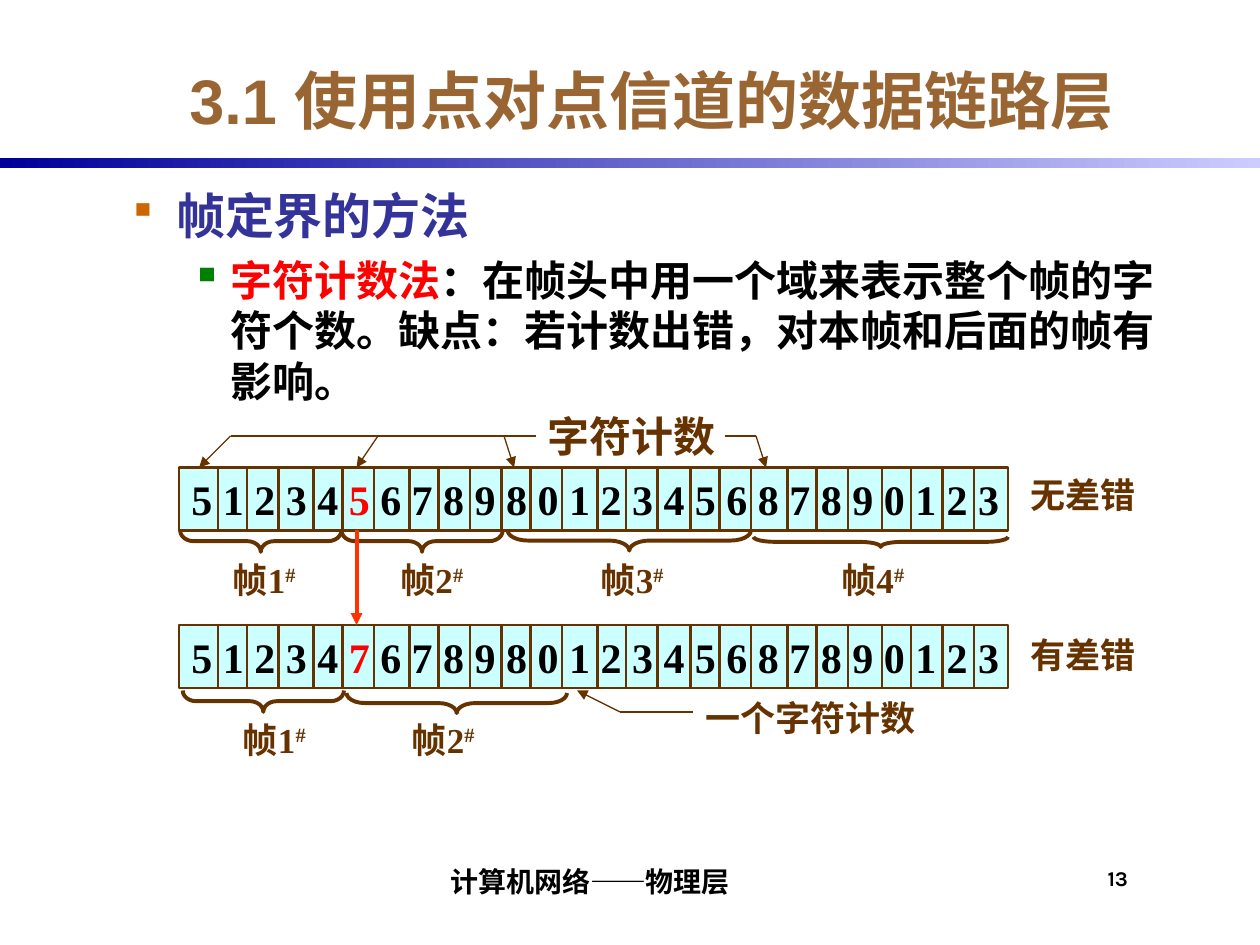
from lxml.etree import SubElement
from pptx import Presentation
from pptx.dml.color import RGBColor
from pptx.enum.shapes import MSO_CONNECTOR as Connector, MSO_SHAPE as Shape
from pptx.enum.text import MSO_ANCHOR as Anchor, PP_ALIGN as Align
from pptx.oxml.ns import qn
from pptx.util import Inches, Pt

COLORS = {
    "brown": "663300", "title": "996633", "heading": "333399", "black": "000000",
    "red": "FF0000", "arrow": "FF3300", "cell": "CCFFFF", "orange": "CC6600",
    "green": "008000", "navy": "000099", "lavender": "CCCCFF",
}
SERIF = "Times New Roman"
ROW_LEFT, ROW_WIDTH, ROW_HEIGHT = 1.42, 6.58, 0.5
TOP_ROW, BOTTOM_ROW = 3.71, 4.96
GROUP_STARTS = (1.73, 2.49, 3.25, 3.98, 4.74, 5.48, 6.25, 7, 7.73)
DIVIDERS = [start + step for start in GROUP_STARTS for step in (0, 0.23, 0.48)
            if start + step < ROW_LEFT + ROW_WIDTH - 0.1]
DIVIDERS = DIVIDERS[:25]


def rgb(name):
    return RGBColor.from_string(COLORS[name])


def add_bullet(paragraph, color, size, margin, hanging):
    properties = paragraph._p.get_or_add_pPr()
    properties.set("marL", str(Inches(margin)))
    properties.set("indent", str(-Inches(hanging)))
    bullet_color = SubElement(properties, qn("a:buClr"))
    SubElement(bullet_color, qn("a:srgbClr"), val=COLORS[color])
    SubElement(properties, qn("a:buSzPct"), val=str(size * 1000))
    SubElement(properties, qn("a:buChar"), char="▪")


def write_runs(paragraph, runs, size, color, font=SERIF):
    """Write runs given as (text, color or None, superscript or not)."""
    paragraph.font.size = Pt(size)
    for text, run_color, raised in runs:
        run = paragraph.add_run()
        run.text = text
        run.font.name, run.font.size, run.font.bold = font, Pt(size), True
        run.font.color.rgb = rgb(run_color or color)
        if raised:
            run.font._element.set("baseline", "30000")


def set_frame(shape, insets, anchor=Anchor.TOP):
    frame = shape.text_frame
    frame.word_wrap = True
    frame.vertical_anchor = anchor
    (frame.margin_left, frame.margin_top,
     frame.margin_right, frame.margin_bottom) = map(Inches, insets)
    return frame


def add_text(slide, text, left, top, width, height, *, size=20, color="brown",
             font=SERIF, align=Align.LEFT, anchor=Anchor.TOP,
             insets=(0.1, 0.05, 0.1, 0.05), superscript=""):
    box = slide.shapes.add_textbox(*map(Inches, (left, top, width, height)))
    paragraph = set_frame(box, insets, anchor).paragraphs[0]
    paragraph.alignment = align
    runs = [(text, None, False)]
    if superscript:
        runs.append((superscript, None, True))
    write_runs(paragraph, runs, size, color, font)


def add_line(slide, start, end, *, color="brown", width=0.75, arrow=False):
    line = slide.shapes.add_connector(
        Connector.STRAIGHT, *map(Inches, (*start, *end)))
    line.line.color.rgb = rgb(color)
    line.line.width = Pt(width)
    if arrow:
        SubElement(line.line._get_or_add_ln(), qn("a:tailEnd"), type="triangle")
    SubElement(line._element.spPr, qn("a:effectLst"))


def add_shape(slide, kind, left, top, width, height):
    shape = slide.shapes.add_shape(kind, *map(Inches, (left, top, width, height)))
    shape.shadow.inherit = False
    return shape


def add_brace(slide, left, top, length, depth):
    """Draw a brace that opens upwards, as a left brace turned by 270 degrees."""
    brace = add_shape(slide, Shape.LEFT_BRACE, left + (length - depth) / 2,
                      top + (depth - length) / 2, depth, length)
    brace.rotation = 270
    brace.adjustments[0] = length / 12 / depth
    brace.fill.background()
    brace.line.color.rgb = rgb("brown")
    brace.line.width = Pt(2.25)


def add_digit_row(slide, top, count):
    row = add_shape(slide, Shape.RECTANGLE, ROW_LEFT, top, ROW_WIDTH, ROW_HEIGHT)
    row.fill.solid()
    row.fill.fore_color.rgb = rgb("cell")
    row.line.color.rgb = rgb("brown")
    row.line.width = Pt(1.5)
    paragraph = set_frame(row, (0.1, 0.05, 0, 0.05)).paragraphs[0]
    paragraph.alignment = Align.LEFT
    write_runs(paragraph, [
        ("5 1 2 3 4 ", None, False), (count, "red", False),
        (" 6 7 8 9 8 0 1 2 3 4 5 6 8 7 8 9 0 1 2 3", None, False),
    ], 24, "black")
    for x in DIVIDERS:
        add_line(slide, (x, top), (x, top + ROW_HEIGHT), width=1.5)


def add_header(slide):
    band = add_shape(slide, Shape.RECTANGLE, 0, 1.25, 10, 0.08)
    band.line.fill.background()
    band.fill.gradient()
    band.fill.gradient_angle = 0
    for stop, name in zip(band.fill.gradient_stops, ("navy", "lavender")):
        stop.color.rgb = rgb(name)
    add_text(slide, "3.1 使用点对点信道的数据链路层", 0.92, 0.33, 8.5, 0.92, size=36,
             color="title", font="Arial", align=Align.CENTER, anchor=Anchor.MIDDLE)


def add_body(slide):
    box = slide.shapes.add_textbox(*map(Inches, (0.92, 1.42, 8.5, 5)))
    frame = set_frame(box, (0.1, 0.05, 0.1, 0.05))
    heading, detail = frame.paragraphs[0], frame.add_paragraph()
    add_bullet(heading, "orange", 80, 0.38, 0.38)
    write_runs(heading, [("帧定界的方法", None, False)], 28, "heading", "Arial")
    detail.level = 1
    add_bullet(detail, "green", 100, 0.81, 0.31)
    detail.space_before = Pt(6)
    write_runs(detail, [
        ("字符计数法", "red", False),
        ("：在帧头中用一个域来表示整个帧的字符个数。缺点：若计数出错，对本帧和后面的帧有影响。",
         None, False),
    ], 24, "black", "Arial")


def add_count_callouts(slide):
    for x, tip in ((1.83, 1.58), (3, 2.83), (4, 4.08), (6, 6.08)):
        add_line(slide, (x, 3.46), (tip, TOP_ROW), arrow=True)
    for start, end in ((1.83, 4.25), (5.75, 6)):
        add_line(slide, (start, 3.46), (end, 3.46))
    add_text(slide, "字符计数", 4.25, 3.21, 1.58, 0.5, size=24)
    add_line(slide, (4.92, 5.65), (4.58, 5.48), arrow=True)
    add_line(slide, (4.92, 5.65), (5.5, 5.65))
    add_text(slide, "一个字符计数", 5.5, 5.48, 2, 0.44)


def add_frames(slide, label_top, braces, label_lefts):
    for number, (brace, left) in enumerate(zip(braces, label_lefts), 1):
        add_brace(slide, *brace)
        add_text(slide, f"帧{number}", left, label_top, 0.83, 0.44, superscript="#")


def main():
    presentation = Presentation()
    presentation.slide_width, presentation.slide_height = Inches(10), Inches(7.5)
    slide = presentation.slides.add_slide(presentation.slide_layouts[6])
    add_header(slide)
    add_body(slide)
    add_digit_row(slide, TOP_ROW, "5")
    add_digit_row(slide, BOTTOM_ROW, "7")
    add_count_callouts(slide)
    add_frames(slide, 4.38,
               ((1.43, 4.21, 1.28, 0.17), (2.71, 4.21, 1.28, 0.17),
                (4.03, 4.21, 1.93, 0.16), (5.98, 4.26, 2.02, 0.08)),
               (1.75, 3.08, 4.67, 6.58))
    add_frames(slide, 5.65,
               ((1.45, 5.48, 1.28, 0.17), (2.75, 5.5, 1.75, 0.16)), (1.83, 3.17))
    add_text(slide, "无差错", 8.08, 3.71, 1.17, 0.44)
    add_text(slide, "有差错", 8.08, 4.98, 1.17, 0.44)
    add_line(slide, (2.83, TOP_ROW + ROW_HEIGHT), (2.83, BOTTOM_ROW),
             color="arrow", width=2.25, arrow=True)
    add_text(slide, "计算机网络——物理层", 2.08, 6.75, 5.17, 0.42, size=16, color="black",
             font="Karla", align=Align.CENTER, anchor=Anchor.BOTTOM,
             insets=(0.04, 0, 0, 0.04))
    add_text(slide, "13", 8.75, 6.83, 0.58, 0.42, size=12, color="black",
             font="Karla", insets=(0.04, 0.04, 0, 0))
    presentation.save("out.pptx")


if __name__ == "__main__":
    main()
